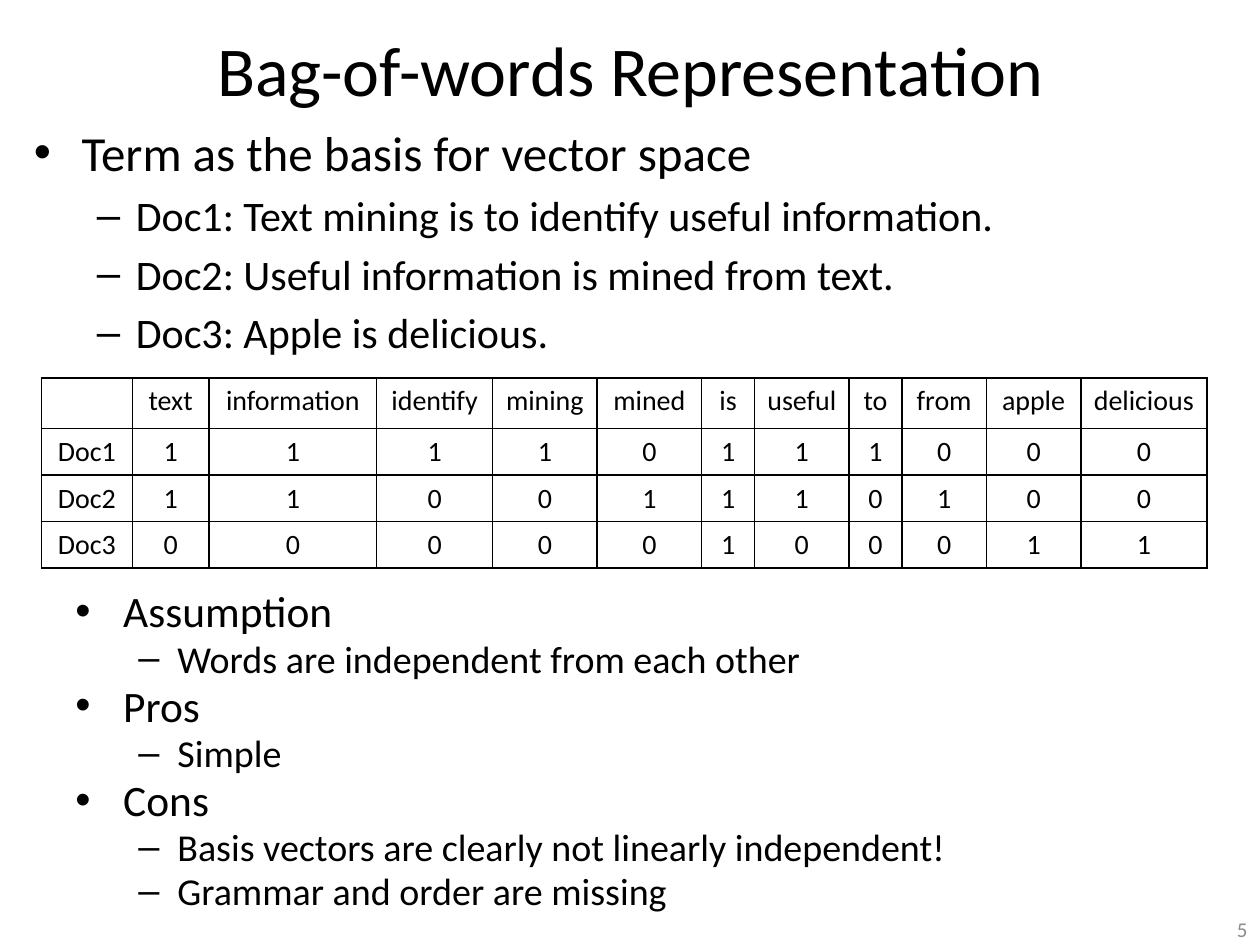
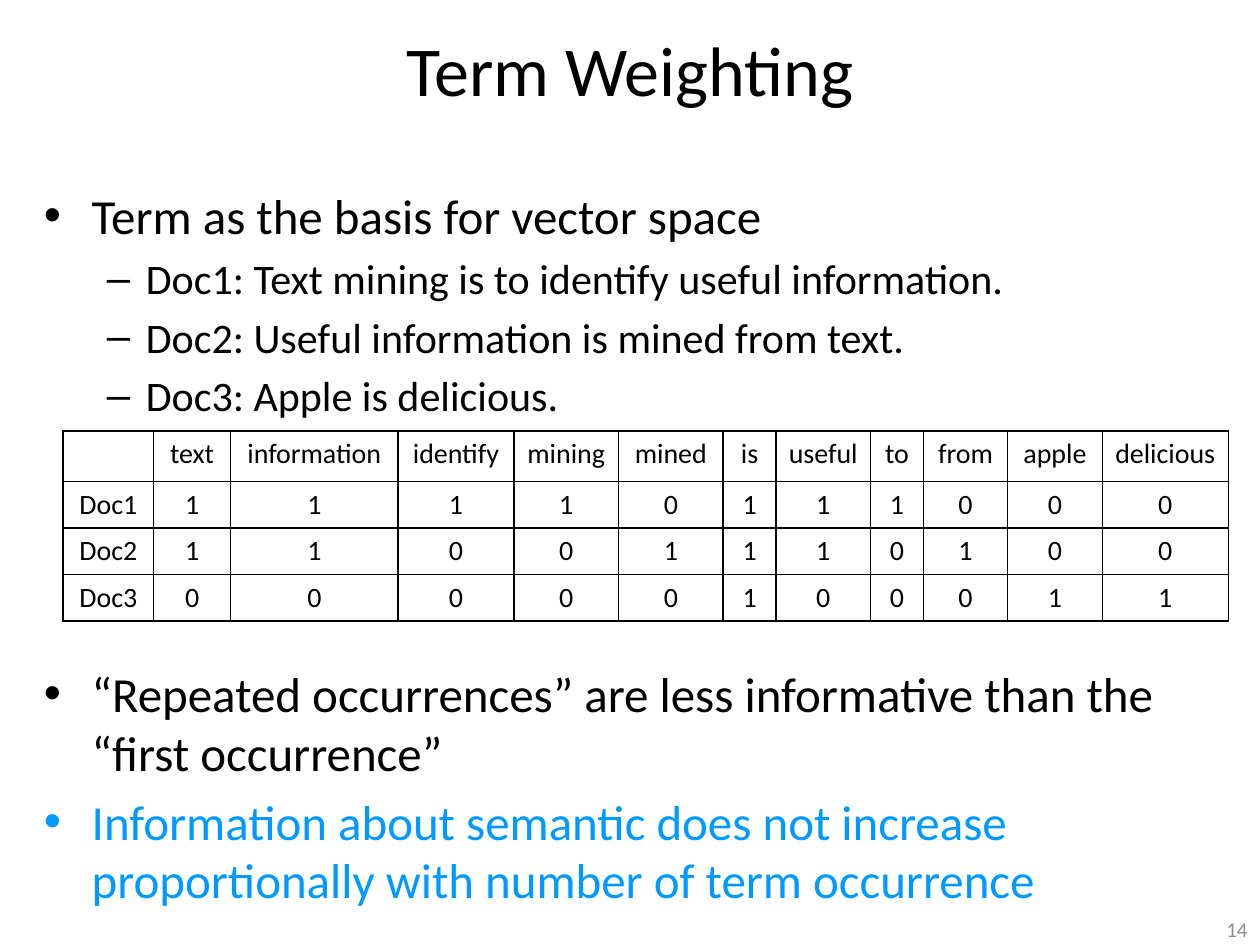
from dataclasses import dataclass

from lxml.etree import SubElement
from pptx import Presentation
from pptx.dml.color import RGBColor
from pptx.enum.text import MSO_ANCHOR as Anchor, PP_ALIGN as Align
from pptx.oxml.ns import qn
from pptx.slide import Slide
from pptx.table import _Cell as Cell
from pptx.text.text import TextFrame, _Paragraph as Paragraph
from pptx.util import Inches, Pt

COLORS = {"text": "000000", "accent": "0099FF", "number": "8C8C8C", "grid": "000000"}
FONT = "Calibri"
BULLETS = ("•", "–")
INDENTS = ((0.38, -0.38), (0.81, -0.31))
COLUMN_WIDTHS = (0.72, 0.61, 1.33, 0.92, 0.83, 0.83, 0.42, 0.75, 0.42, 0.67, 0.75, 1)
ROW_HEIGHTS = (0.4, 0.37, 0.37, 0.37)
TERMS = ("text", "information", "identify", "mining", "mined", "is",
         "useful", "to", "from", "apple", "delicious")
TERM_COUNTS = {"Doc1": "11110111000", "Doc2": "11001110100", "Doc3": "00000100011"}


@dataclass(frozen=True)
class Item:
    text: str
    level: int = 0
    color: str = "text"
    gap: float | None = None


@dataclass(frozen=True)
class Outline:
    area: tuple[float, float, float, float]
    items: tuple[Item, ...]
    sizes: tuple[float, float] = (28, 24)
    line_spacing: float | None = None


@dataclass(frozen=True)
class Page:
    title: str
    number: int
    table_corner: tuple[float, float]
    outlines: tuple[Outline, ...]


def add_span(para: Paragraph, text: str, size: float, color: str = "text") -> None:
    span = para.add_run()
    span.text = text
    span.font.name = FONT
    span.font.size = Pt(size)
    span.font.color.rgb = RGBColor.from_string(COLORS[color])


def add_box(page: Slide, area: tuple[float, float, float, float],
            anchor: Anchor = Anchor.TOP) -> TextFrame:
    frame = page.shapes.add_textbox(*map(Inches, area)).text_frame
    frame.word_wrap = True
    frame.vertical_anchor = anchor
    return frame


def add_line(page: Slide, area: tuple[float, float, float, float], text: str,
             size: float, color: str, align: Align) -> None:
    para = add_box(page, area, Anchor.MIDDLE).paragraphs[0]
    para.alignment = align
    add_span(para, text, size, color)


def set_bullet(para: Paragraph, item: Item) -> None:
    properties = para._p.get_or_add_pPr()
    margin, indent = INDENTS[item.level]
    properties.set("marL", str(Inches(margin)))
    properties.set("indent", str(Inches(indent)))
    if item.gap is None:
        before = SubElement(properties, qn("a:spcBef"))
        SubElement(before, qn("a:spcPct"), val="20000")
    else:
        para.space_before = Pt(item.gap)
    SubElement(properties, qn("a:buFont"), typeface="Arial")
    SubElement(properties, qn("a:buChar"), char=BULLETS[item.level])


def add_outline(page: Slide, outline: Outline) -> None:
    frame = add_box(page, outline.area)
    for index, item in enumerate(outline.items):
        para = frame.add_paragraph() if index else frame.paragraphs[0]
        para.level = item.level
        para.alignment = Align.LEFT
        para.line_spacing = outline.line_spacing
        set_bullet(para, item)
        add_span(para, item.text, outline.sizes[item.level], item.color)


def set_borders(cell: Cell) -> None:
    properties = cell._tc.get_or_add_tcPr()
    for position, side in enumerate(("lnL", "lnR", "lnT", "lnB")):
        line = SubElement(properties, qn(f"a:{side}"), w=str(Pt(1)))
        fill = SubElement(line, qn("a:solidFill"))
        SubElement(fill, qn("a:srgbClr"), val=COLORS["grid"])
        properties.insert(position, line)


def add_term_table(page: Slide, corner: tuple[float, float]) -> None:
    rows = [("", *TERMS)] + [(name, *counts) for name, counts in TERM_COUNTS.items()]
    area = (*corner, sum(COLUMN_WIDTHS), sum(ROW_HEIGHTS))
    table = page.shapes.add_table(len(rows), len(COLUMN_WIDTHS), *map(Inches, area)).table
    table.first_row = table.horz_banding = False
    for column, width in zip(table.columns, COLUMN_WIDTHS):
        column.width = Inches(width)
    for row, height, values in zip(table.rows, ROW_HEIGHTS, rows):
        row.height = Inches(height)
        for cell, value in zip(row.cells, values):
            cell.margin_left = cell.margin_right = Inches(0.05)
            cell.fill.background()
            set_borders(cell)
            para = cell.text_frame.paragraphs[0]
            para.alignment = Align.CENTER
            if value:
                add_span(para, value, 16)


def add_page(deck: Presentation, content: Page) -> None:
    page = deck.slides.add_slide(deck.slide_layouts[6])
    add_line(page, (0, 0, 10, 1.08), content.title, 40, "text", Align.CENTER)
    for outline in content.outlines:
        add_outline(page, outline)
    add_term_table(page, content.table_corner)
    add_line(page, (7.67, 7.25, 2.33, 0.25), str(content.number), 12, "number", Align.RIGHT)


DOCUMENTS = (
    Item("Term as the basis for vector space"),
    Item("Doc1: Text mining is to identify useful information.", 1),
    Item("Doc2: Useful information is mined from text.", 1),
    Item("Doc3: Apple is delicious.", 1),
)
EVALUATION = (
    Item("Assumption"),
    Item("Words are independent from each other", 1),
    Item("Pros"),
    Item("Simple", 1),
    Item("Cons"),
    Item("Basis vectors are clearly not linearly independent!", 1),
    Item("Grammar and order are missing", 1),
)
WEIGHTING = (
    Item("“Repeated occurrences” are less informative than the “first occurrence”", gap=139),
    Item("Information about semantic does not increase proportionally "
         "with number of term occurrence", color="accent"),
)
PAGES = (
    Page("Bag-of-words Representation", 5, (0.33, 3), (
        Outline((0.17, 0.92, 9.67, 1.92), DOCUMENTS),
        Outline((0.5, 4.67, 9, 2.83), EVALUATION, (24.8, 21.7), 0.8),
    )),
    Page("Term Weighting", 14, (0.5, 3.42), (
        Outline((0.25, 1.42, 9.5, 5.75), DOCUMENTS + WEIGHTING),
    )),
)

deck = Presentation()
deck.slide_width, deck.slide_height = Inches(10), Inches(7.5)
for content in PAGES:
    add_page(deck, content)
deck.save("out.pptx")
